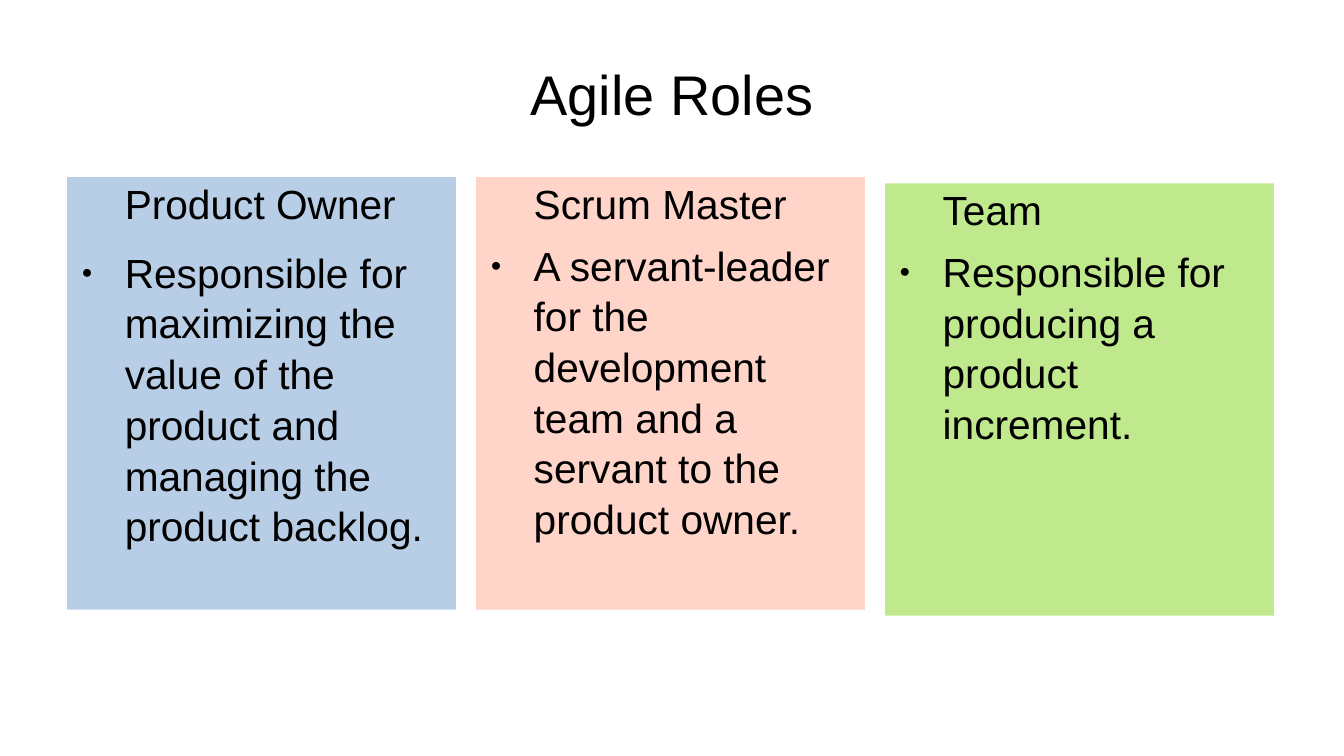
from lxml.etree import SubElement
from pptx import Presentation
from pptx.dml.color import RGBColor
from pptx.enum.shapes import MSO_SHAPE as Shape
from pptx.enum.text import MSO_ANCHOR as Anchor, PP_ALIGN as Align
from pptx.oxml.ns import qn
from pptx.util import Cm, Pt


def color(value):
    return RGBColor.from_string(value)


def add_text(para, text, size=24, align=Align.LEFT, before=0, spacing=1.0,
             indent=0, bullet=False):
    """Fill one paragraph; a bullet hangs to the left of the indent."""
    para.alignment = align
    para.space_before = Pt(before)
    para.line_spacing = spacing
    span = para.add_run()
    span.text = text
    span.font.size = Pt(size)
    span.font.name = "Arial"
    span.font.color.rgb = color("000000")
    props = para._p.get_or_add_pPr()
    props.set("marL", str(Cm(indent)))
    props.set("indent", str(Cm(-0.9 if bullet else 0)))
    if bullet:
        SubElement(props, qn("a:buSzPct"), val="45000")
        SubElement(props, qn("a:buFont"), typeface="Arial")
        SubElement(props, qn("a:buChar"), char="●")


class RolesSlide:
    """Holds the card style and the current page."""
    left, card_width, card_height, pitch = 1.4, 8.1, 9.01, 8.52
    text_indent, line_spacing = 1.2, 1.04

    def __init__(self, deck):
        self.page = deck.slides.add_slide(deck.slide_layouts[6])

    def frame(self, box, anchor):
        frame = box.text_frame
        frame.word_wrap = True
        frame.vertical_anchor = anchor
        frame.margin_left = frame.margin_right = 0
        frame.margin_top = frame.margin_bottom = 0
        return frame

    def title(self, text):
        box = self.page.shapes.add_textbox(Cm(self.left), Cm(0.63), Cm(25.2), Cm(2.64))
        frame = self.frame(box, Anchor.MIDDLE)
        add_text(frame.paragraphs[0], text, size=33, align=Align.CENTER)

    def card(self, column, top, fill, role, duty, gaps):
        box = self.page.shapes.add_shape(
            Shape.RECTANGLE, Cm(self.left + column * self.pitch), Cm(top),
            Cm(self.card_width), Cm(self.card_height))
        box.shadow.inherit = False
        box.line.fill.background()
        box.fill.solid()
        box.fill.fore_color.rgb = color(fill)
        # Half-transparent fill
        tint = box.fill._xPr.find(qn("a:solidFill"))[0]
        SubElement(tint, qn("a:alpha"), val="50000")
        # Role name, then its duty as a bullet
        frame = self.frame(box, Anchor.TOP)
        style = dict(indent=self.text_indent, spacing=self.line_spacing)
        add_text(frame.paragraphs[0], role, before=gaps[0], **style)
        add_text(frame.add_paragraph(), duty, before=gaps[1], bullet=True, **style)


# Top (cm), fill, role, duty, space before each paragraph (pt)
ROLES = [
    (3.69, "729FCF", "Product Owner",
     "Responsible for maximizing the value of the product and managing "
     "the product backlog.", (10.6, 10.6)),
    (3.69, "FFAA95", "Scrum Master",
     "A servant-leader for the development team and a servant to the "
     "product owner.", (8.5, 6.4)),
    (3.82, "81D41A", "Team",
     "Responsible for producing a product increment.", (8.5, 6.4)),
]


def main():
    deck = Presentation()
    deck.slide_width, deck.slide_height = Cm(28), Cm(15.75)
    slide = RolesSlide(deck)
    slide.title("Agile Roles")
    for column, role in enumerate(ROLES):
        slide.card(column, *role)
    deck.save("out.pptx")


if __name__ == "__main__":
    main()
